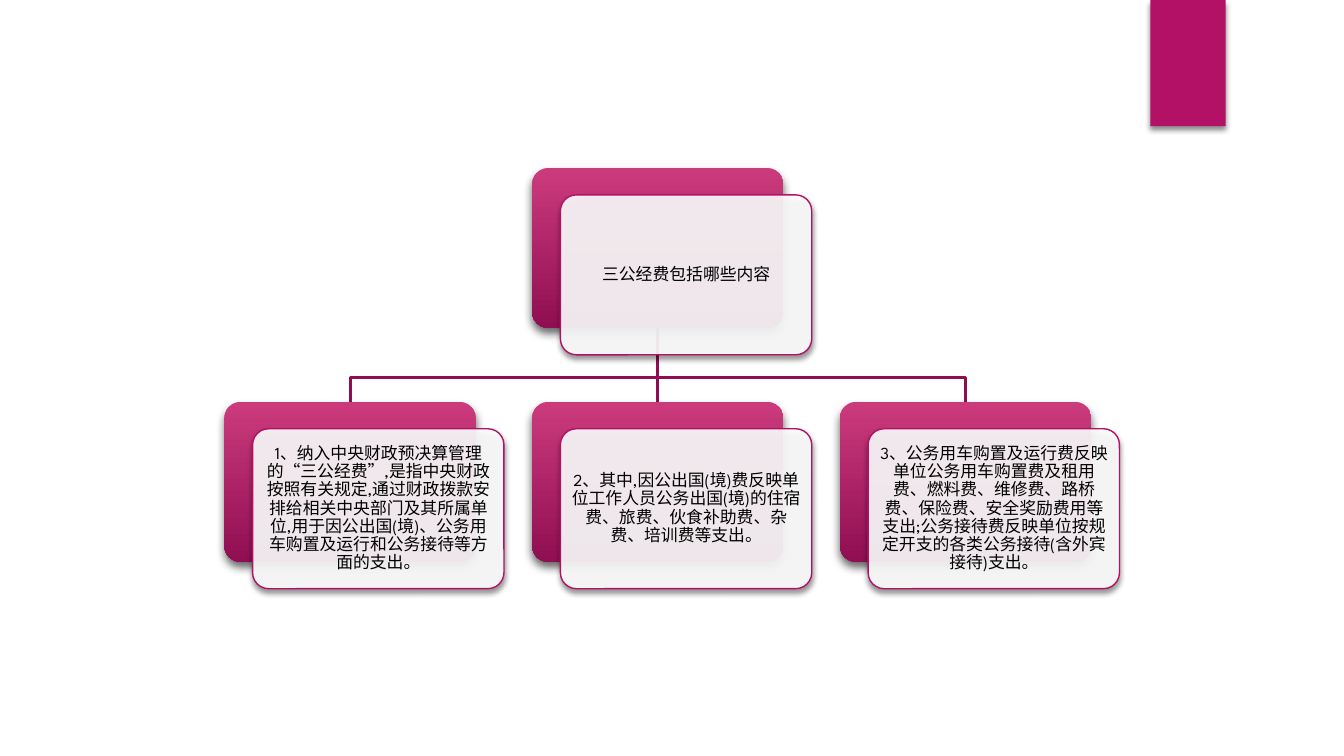
import pptx
import pptx.dml.color
import pptx.enum.shapes
import pptx.enum.text
import pptx.oxml
import pptx.oxml.ns
import pptx.util
from pptx.util import Inches

COLORS = {
    "accent": "B31166",
    "gradient_top": "CB3B7C",
    "gradient_bottom": "900E52",
    "branch": "8F0E52",
    "panel": "FFFFFF",
    "text": "000000",
    "shadow": "000000",
}
FONT = "League Spartan"
SHAPES = pptx.enum.shapes.MSO_SHAPE

SLIDE_WIDTH = 10
SLIDE_HEIGHT = SLIDE_WIDTH * 9 / 16
CARD_WIDTH, CARD_HEIGHT = 1.87, 1.19
PANEL_SHIFT_X, PANEL_SHIFT_Y = 0.21, 0.2
TEXT_INSET = 0.03
CENTER_LEFT, COLUMN_STEP = 3.96, 2.29
ROOT_TOP, CHILD_TOP, BRANCH_Y = 1.25, 2.99, 2.81

ROOT_TEXT = "三公经费包括哪些内容"
CHILD_TEXTS = [
    "1、纳入中央财政预决算管理的“三公经费”,是指中央财政按照有关规定,通过财政拨款安排给相关中央部门及其所属单位,"
    "用于因公出国(境)、公务用车购置及运行和公务接待等方面的支出。",
    "2、其中,因公出国(境)费反映单位工作人员公务出国(境)的住宿费、旅费、伙食补助费、杂费、培训费等支出。",
    "3、公务用车购置及运行费反映单位公务用车购置费及租用费、燃料费、维修费、路桥费、保险费、安全奖励费用等支出;"
    "公务接待费反映单位按规定开支的各类公务接待(含外宾接待)支出。",
]


def rgb(name):
    return pptx.dml.color.RGBColor.from_string(COLORS[name])


def add_shadow(shape, opacity, blur, distance):
    shape.shadow.inherit = False
    effects = shape._element.spPr.find(pptx.oxml.ns.qn("a:effectLst"))
    effects.append(pptx.oxml.parse_xml(
        f'<a:outerShdw {pptx.oxml.ns.nsdecls("a")} blurRad="{pptx.util.Pt(blur)}" '
        f'dist="{pptx.util.Pt(distance)}" dir="5400000" rotWithShape="0">'
        f'<a:srgbClr val="{COLORS["shadow"]}"><a:alpha val="{opacity * 1000}"/></a:srgbClr>'
        '</a:outerShdw>'))


def add_block(slide, kind, left, top, width, height):
    return slide.shapes.add_shape(
        kind, Inches(left), Inches(top), Inches(width), Inches(height))


def add_corner_tab(slide):
    tab = add_block(slide, SHAPES.RECTANGLE, 8.56, 0, 0.56, 0.94)
    tab.fill.solid()
    tab.fill.fore_color.rgb = rgb("accent")
    tab.line.fill.background()
    add_shadow(tab, 45, 3, 2)


def style_branch(line):
    line.color.rgb = rgb("branch")
    line.width = pptx.util.Pt(1.5)


def add_side_branch(slide, start_x, start_y, end_x):
    builder = slide.shapes.build_freeform(Inches(start_x), Inches(start_y))
    corners = [(start_x, BRANCH_Y), (end_x, BRANCH_Y), (end_x, CHILD_TOP)]
    builder.add_line_segments(
        [(Inches(x), Inches(y)) for x, y in corners], close=False)
    branch = builder.convert_to_shape()
    branch.fill.background()
    style_branch(branch.line)
    branch.shadow.inherit = False


def add_middle_branch(slide, x, start_y):
    branch = slide.shapes.add_connector(
        pptx.enum.shapes.MSO_CONNECTOR.STRAIGHT,
        Inches(x), Inches(start_y), Inches(x), Inches(CHILD_TOP))
    style_branch(branch.line)
    branch._element.spPr.append(pptx.oxml.parse_xml(
        f'<a:effectLst {pptx.oxml.ns.nsdecls("a")}/>'))


def add_card_text(slide, text, left, top):
    box = slide.shapes.add_textbox(
        Inches(left + TEXT_INSET), Inches(top + TEXT_INSET),
        Inches(CARD_WIDTH - 2 * TEXT_INSET), Inches(CARD_HEIGHT - 2 * TEXT_INSET))
    frame = box.text_frame
    frame.word_wrap = True
    frame.vertical_anchor = pptx.enum.text.MSO_ANCHOR.MIDDLE
    frame.margin_left = frame.margin_right = Inches(0.04)
    frame.margin_top = frame.margin_bottom = Inches(0.04)
    paragraph = frame.paragraphs[0]
    paragraph.text = text
    paragraph.alignment = pptx.enum.text.PP_ALIGN.CENTER
    paragraph.line_spacing = 0.9
    paragraph.space_after = pptx.util.Pt(3.15)
    # Keep punctuation inside the text area
    paragraph._p.get_or_add_pPr().set("hangingPunct", "0")
    paragraph.font.size = pptx.util.Pt(9)
    paragraph.font.name = FONT
    paragraph.font.color.rgb = rgb("text")


def add_card(slide, text, left, top):
    # Gradient card behind
    back = add_block(slide, SHAPES.ROUNDED_RECTANGLE, left, top, CARD_WIDTH, CARD_HEIGHT)
    back.adjustments[0] = 0.1
    back.fill.gradient()
    back.fill.gradient_angle = 270
    for stop, name in zip(back.fill.gradient_stops, ["gradient_top", "gradient_bottom"]):
        stop.color.rgb = rgb(name)
    back.line.fill.background()
    add_shadow(back, 60, 5, 3)

    # Translucent panel in front
    left, top = left + PANEL_SHIFT_X, top + PANEL_SHIFT_Y
    panel = add_block(slide, SHAPES.ROUNDED_RECTANGLE, left, top, CARD_WIDTH, CARD_HEIGHT)
    panel.adjustments[0] = 0.1
    panel.fill.solid()
    panel.fill.fore_color.rgb = rgb("panel")
    color = panel._element.spPr.find(
        f'{pptx.oxml.ns.qn("a:solidFill")}/{pptx.oxml.ns.qn("a:srgbClr")}')
    color.append(pptx.oxml.parse_xml(
        f'<a:alpha {pptx.oxml.ns.nsdecls("a")} val="90000"/>'))
    panel.line.color.rgb = rgb("accent")
    panel.line.width = pptx.util.Pt(0.75)
    add_shadow(panel, 45, 3, 2)

    add_card_text(slide, text, left, top)


def main():
    presentation = pptx.Presentation()
    presentation.slide_width = Inches(SLIDE_WIDTH)
    presentation.slide_height = Inches(SLIDE_HEIGHT)
    slide = presentation.slides.add_slide(presentation.slide_layouts[6])

    add_corner_tab(slide)

    # Branches from the root to the children
    center_x = CENTER_LEFT + CARD_WIDTH / 2
    root_bottom = ROOT_TOP + CARD_HEIGHT
    add_side_branch(slide, center_x, root_bottom, center_x + COLUMN_STEP)
    add_middle_branch(slide, center_x, root_bottom)
    add_side_branch(slide, center_x, root_bottom, center_x - COLUMN_STEP)

    # Root card and its three children
    add_card(slide, ROOT_TEXT, CENTER_LEFT, ROOT_TOP)
    for column, text in enumerate(CHILD_TEXTS, start=-1):
        add_card(slide, text, CENTER_LEFT + column * COLUMN_STEP, CHILD_TOP)

    presentation.save("out.pptx")


if __name__ == "__main__":
    main()
